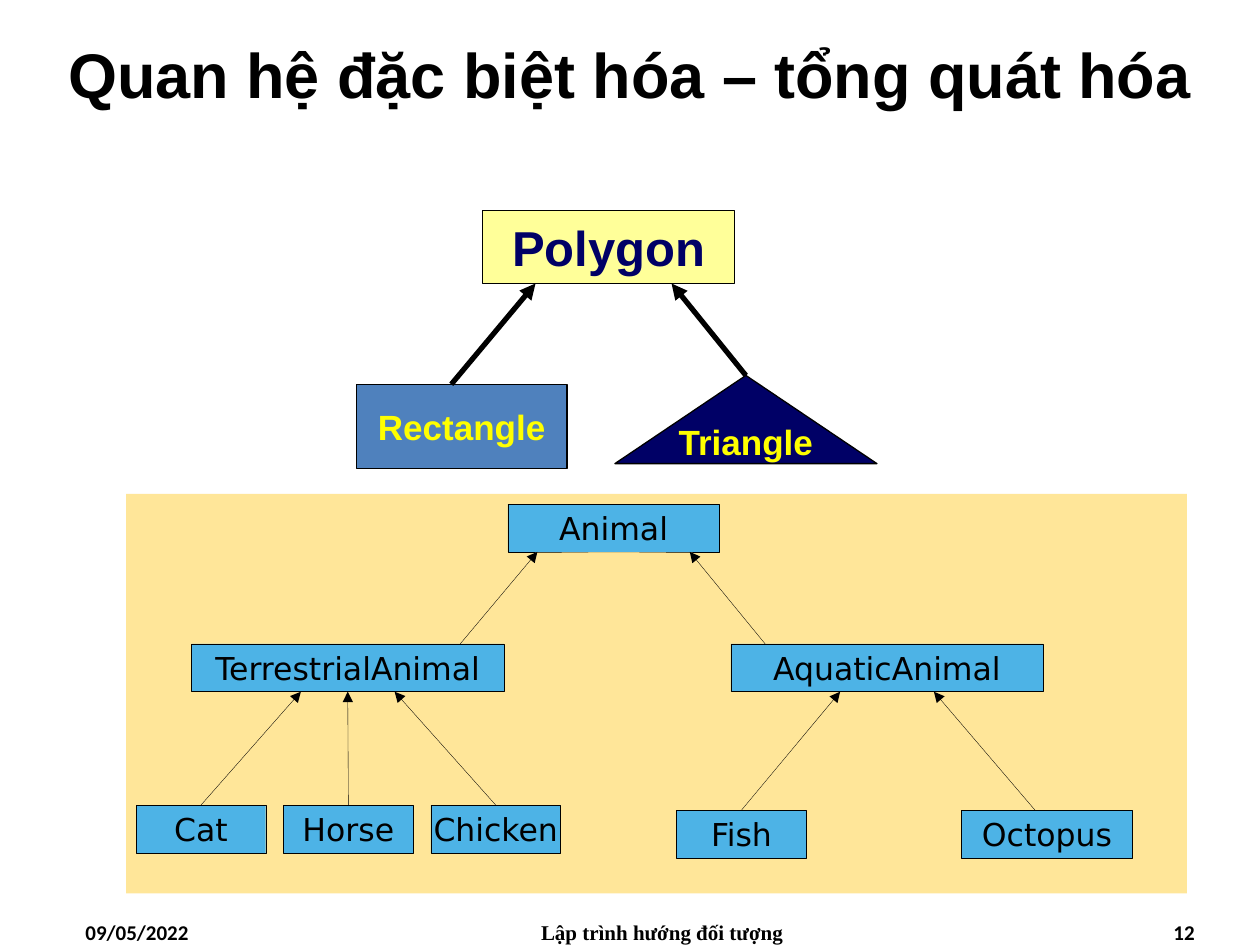
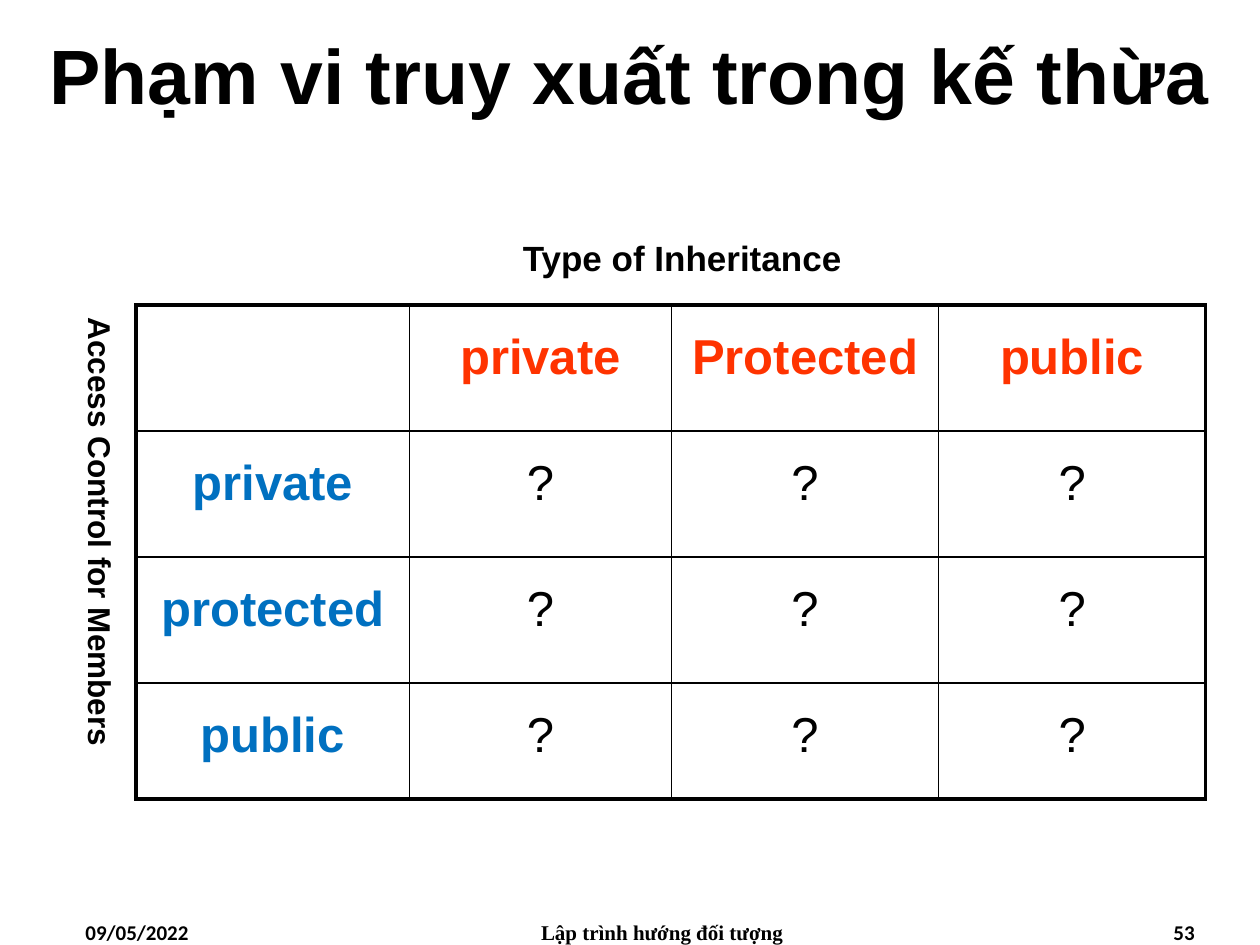
from lxml.etree import SubElement
from pptx import Presentation
from pptx.dml.color import RGBColor
from pptx.enum.shapes import MSO_CONNECTOR, MSO_SHAPE
from pptx.enum.text import MSO_ANCHOR, MSO_AUTO_SIZE, PP_ALIGN
from pptx.oxml import parse_xml
from pptx.oxml.ns import nsdecls, qn
from pptx.util import Inches, Pt

# Shared style
COLORS = {
    "ink": "000000", "navy": "000066", "pale": "FFFF99", "yellow": "FFFF00",
    "steel": "4F81BD", "sand": "FFE699", "sky": "4DB3E6",
    "red": "FF3300", "blue": "0070C0",
}
WIDTH, HEIGHT = 10, 7.5
TITLE_HEIGHT = 1.17
FOOTER_TOP, FOOTER_HEIGHT = 7.25, 0.25
DATE, COURSE = "09/05/2022", "Lập trình hướng đối tượng"

# Slide 1: shape classes as name: (preset, area, fill, text color, text size)
POLYGON_TITLE = ("Quan hệ đặc biệt hóa – tổng quát hóa", 36, "12")
FIGURES = {
    "Polygon": (MSO_SHAPE.RECTANGLE, (3.83, 1.67, 2, 0.58), "pale", "navy", 28),
    "Rectangle": (MSO_SHAPE.RECTANGLE, (2.83, 3.05, 1.67, 0.67), "steel", "yellow", 20),
    "Triangle": (MSO_SHAPE.ISOSCELES_TRIANGLE, (4.88, 2.98, 2.08, 0.7), "navy", "yellow", 20),
}
# Each link: child, share of its width, parent, share of its width
FIGURE_LINKS = [("Rectangle", 0.45, "Polygon", 0.21), ("Triangle", 0.5, "Polygon", 0.75)]

# Animal classes as name: (left, top, width)
PANEL = (1, 3.92, 8.42, 3.17)
ANIMAL_HEIGHT = 0.38
LAND_LEFT, LAND_STEP = 1.08, 1.17
ANIMALS = {
    "Animal": (4.03, 4, 1.68),
    "TerrestrialAnimal": (1.52, 5.11, 2.48),
    "AquaticAnimal": (5.8, 5.11, 2.48),
    "Fish": (5.37, 6.43, 1.03),
    "Octopus": (7.63, 6.43, 1.36),
}
LAND_ANIMALS = ["Cat", "Horse", "Chicken"]
ANIMAL_LINKS = [
    ("TerrestrialAnimal", 0.86, "Animal", 0.14),
    ("AquaticAnimal", 0.11, "Animal", 0.86),
    ("Cat", 0.5, "TerrestrialAnimal", 0.35),
    ("Horse", 0.5, "TerrestrialAnimal", 0.5),
    ("Chicken", 0.5, "TerrestrialAnimal", 0.65),
    ("Fish", 0.5, "AquaticAnimal", 0.35),
    ("Octopus", 0.43, "AquaticAnimal", 0.65),
]

# Slide 2: access table
ACCESS_TITLE = ("Phạm vi truy xuất trong kế thừa", 44, "53")
ACCESS = [
    ["", "private", "Protected", "public"],
    ["private", "?", "?", "?"],
    ["protected", "?", "?", "?"],
    ["public", "?", "?", "?"],
]
TABLE_LEFT, TABLE_TOP = 1.08, 2.42
COLUMN_WIDTHS = [2.17, 2.08, 2.12, 2.12]
ROW_HEIGHTS = [1, 1, 1, 0.92]
ACROSS_LABEL = ("Type of Inheritance", (3.75, 1.83, 3.33, 0.44), 20)
DOWN_LABEL = ("Access Control for Members", (0.5, 2.42, 0.5, 4), 18)


def color(name):
    return RGBColor.from_string(COLORS[name])


def inches(values):
    return [Inches(value) for value in values]


def write(frame, text, size, font="Arial", ink="ink", bold=True, align=PP_ALIGN.CENTER):
    frame.text = text
    para = frame.paragraphs[0]
    para.alignment = align
    for span in para.runs:
        span.font.size = Pt(size)
        span.font.name = font
        span.font.bold = bold
        span.font.color.rgb = color(ink)
    return para


def add_label(page, text, area, size, **style):
    box = page.shapes.add_textbox(*inches(area))
    box.text_frame.word_wrap = True
    write(box.text_frame, text, size, **style)
    return box


def add_page(deck, heading):
    """Slide with title, date, course name and number."""
    text, size, number = heading
    page = deck.slides.add_slide(deck.slide_layouts[5])
    title = page.shapes.title
    title.left, title.top, title.width, title.height = inches((0, 0, WIDTH, TITLE_HEIGHT))
    title.text_frame.vertical_anchor = MSO_ANCHOR.MIDDLE
    write(title.text_frame, text, size)
    footers = [
        (DATE, 0.58, 2.33, "Calibri", PP_ALIGN.LEFT),
        (COURSE, 3.67, 3.17, "Times New Roman", PP_ALIGN.CENTER),
        (number, 7.25, 2.33, "Calibri", PP_ALIGN.RIGHT),
    ]
    for words, left, width, font, align in footers:
        add_label(page, words, (left, FOOTER_TOP, width, FOOTER_HEIGHT), 12,
                  font=font, align=align)
    return page


def add_block(page, preset, area, fill, line_width=None):
    block = page.shapes.add_shape(preset, *inches(area))
    block.shadow.inherit = False
    block.fill.solid()
    block.fill.fore_color.rgb = color(fill)
    if line_width is None:
        block.line.fill.background()
    else:
        block.line.color.rgb = color("ink")
        block.line.width = Pt(line_width)
    block.text_frame.word_wrap = False
    block.text_frame.vertical_anchor = MSO_ANCHOR.MIDDLE
    return block


def add_links(page, blocks, links, line_width):
    """Arrows from the top of each child to the bottom of its parent."""
    for child_name, child_share, parent_name, parent_share in links:
        child, parent = blocks[child_name], blocks[parent_name]
        arrow = page.shapes.add_connector(
            MSO_CONNECTOR.STRAIGHT,
            child.left + int(child.width * child_share), child.top,
            parent.left + int(parent.width * parent_share), parent.top + parent.height)
        if child_share == 0.5:
            arrow.begin_connect(child, 0)
        if parent_share == 0.5:
            arrow.end_connect(parent, 2)
        arrow.line.color.rgb = color("ink")
        arrow.line.width = Pt(line_width)
        SubElement(arrow.line._get_or_add_ln(), qn("a:tailEnd"), type="triangle")
        SubElement(arrow._element.spPr, qn("a:effectLst"))


def build_hierarchies(deck):
    page = add_page(deck, POLYGON_TITLE)

    # Polygon family
    figures = {}
    for name, (preset, area, fill, ink, size) in FIGURES.items():
        figures[name] = add_block(page, preset, area, fill, 0.75)
        write(figures[name].text_frame, name, size, ink=ink)
    add_links(page, figures, FIGURE_LINKS, 3)

    # Animal family
    add_block(page, MSO_SHAPE.RECTANGLE, PANEL, "sand")
    places = dict(ANIMALS)
    for index, name in enumerate(LAND_ANIMALS):
        places[name] = (LAND_LEFT + index * LAND_STEP, 6.39, 1.03)
    animals = {}
    for name, place in places.items():
        block = add_block(page, MSO_SHAPE.RECTANGLE, (*place, ANIMAL_HEIGHT), "sky", 0.2)
        frame = block.text_frame
        frame.margin_left = frame.margin_right = frame.margin_top = frame.margin_bottom = 0
        write(frame, name, 18, font="DejaVu Sans", bold=False)
        animals[name] = block
    add_links(page, animals, ANIMAL_LINKS, 0.2)


def set_borders(cell, row, column):
    """Thick outer frame, thin inner lines."""
    outer = {"L": column == 0, "R": column == len(COLUMN_WIDTHS) - 1,
             "T": row == 0, "B": row == len(ROW_HEIGHTS) - 1}
    properties = cell._tc.get_or_add_tcPr()
    for index, (side, thick) in enumerate(outer.items()):
        properties.insert(index, parse_xml(
            f'<a:ln{side} {nsdecls("a")} w="{Pt(2.25 if thick else 1)}"><a:solidFill>'
            f'<a:srgbClr val="{COLORS["ink"]}"/></a:solidFill></a:ln{side}>'))


def build_access(deck):
    page = add_page(deck, ACCESS_TITLE)

    # Table
    area = (TABLE_LEFT, TABLE_TOP, sum(COLUMN_WIDTHS), sum(ROW_HEIGHTS))
    table = page.shapes.add_table(len(ACCESS), len(ACCESS[0]), *inches(area)).table
    table.first_row = table.horz_banding = False
    for column, width in zip(table.columns, COLUMN_WIDTHS):
        column.width = Inches(width)
    for row, height in zip(table.rows, ROW_HEIGHTS):
        row.height = Inches(height)
    for row, texts in enumerate(ACCESS):
        for column, text in enumerate(texts):
            cell = table.cell(row, column)
            cell.fill.background()
            cell.margin_top = Inches(0.2)
            ink = "red" if row == 0 else "blue" if column == 0 else "ink"
            write(cell.text_frame, text, 28, ink=ink, bold=ink != "ink")
            set_borders(cell, row, column)

    # Axis labels
    across = add_label(page, *ACROSS_LABEL)
    down = add_label(page, *DOWN_LABEL)
    for label in (across, down):
        label.text_frame.auto_size = MSO_AUTO_SIZE.SHAPE_TO_FIT_TEXT
    down.text_frame._txBody.bodyPr.set("vert", "eaVert")


def main():
    deck = Presentation()
    deck.slide_width, deck.slide_height = Inches(WIDTH), Inches(HEIGHT)
    build_hierarchies(deck)
    build_access(deck)
    deck.save("out.pptx")


if __name__ == "__main__":
    main()
